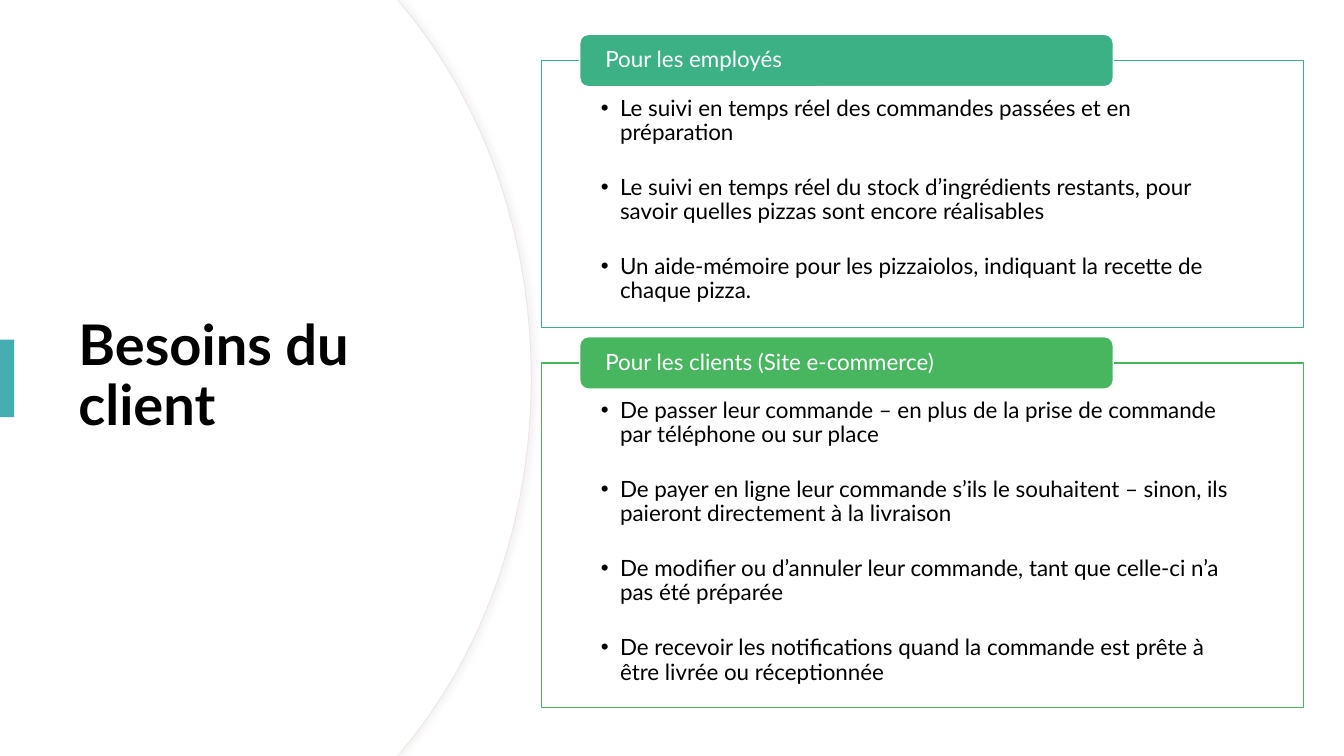
from pptx import Presentation
from pptx.dml.color import RGBColor
from pptx.enum.shapes import MSO_SHAPE as Preset
from pptx.enum.text import MSO_ANCHOR as Anchor, PP_ALIGN as Align
from pptx.oxml import parse_xml
from pptx.oxml.ns import nsdecls, qn
from pptx.util import Inches, Pt

SLIDE_W, SLIDE_H = 13.33, 7.5
CURVE_STEPS = 24

PANELS = [
    (0.6, 2.65, "3BB185", "Pour les employés", [
        "Le suivi en temps réel des commandes passées et en préparation",
        "Le suivi en temps réel du stock d’ingrédients restants, pour savoir "
        "quelles pizzas sont encore réalisables",
        "Un aide-mémoire pour les pizzaiolos, indiquant la recette de chaque pizza.",
    ]),
    (3.6, 3.42, "48B65F", "Pour les clients (Site e-commerce)", [
        "De passer leur commande – en plus de la prise de commande par téléphone "
        "ou sur place",
        "De payer en ligne leur commande s’ils le souhaitent – sinon, ils paieront "
        "directement à la livraison",
        "De modifier ou d’annuler leur commande, tant que celle-ci n’a pas été préparée",
        "De recevoir les notifications quand la commande est prête à être livrée "
        "ou réceptionnée",
    ]),
]


def color(hex_code):
    return RGBColor.from_string(hex_code)


def paint(shape, fill, line=None, width=1):
    shape.shadow.inherit = False
    shape.fill.solid()
    shape.fill.fore_color.rgb = color(fill)
    if line:
        shape.line.color.rgb = color(line)
        shape.line.width = Pt(width)
    else:
        shape.line.fill.background()


def add_box(page, preset, left, top, width, height, fill, line=None):
    box = page.shapes.add_shape(
        preset, Inches(left), Inches(top), Inches(width), Inches(height))
    paint(box, fill, line)
    return box


def set_frame(box, anchor, left=0.1, top=0.05, right=0.1, bottom=0.05):
    frame = box.text_frame
    frame.word_wrap = True
    frame.vertical_anchor = anchor
    frame.margin_left, frame.margin_top = Inches(left), Inches(top)
    frame.margin_right, frame.margin_bottom = Inches(right), Inches(bottom)
    return frame


def write(para, text, size, hex_code, bold=False):
    para.alignment = Align.LEFT
    para.line_spacing = 0.9
    span = para.add_run()
    span.text = text
    span.font.name = "Lato"
    span.font.size = Pt(size)
    span.font.bold = bold
    span.font.color.rgb = color(hex_code)


def add_bullet(para, indent=0.19):
    props = para._p.get_or_add_pPr()
    props.set("marL", str(Inches(indent)))
    props.set("indent", str(-Inches(indent)))
    props.append(parse_xml(f'<a:buFont {nsdecls("a")} typeface="Arial"/>'))
    props.append(parse_xml(f'<a:buChar {nsdecls("a")} char="•"/>'))


def add_disc(page, right, line=None):
    """White area bounded on the right by an arc, mirrored about mid-height."""
    start, end = (right - 1.26, 0.08), (right, SLIDE_H / 2)
    controls = (right - 0.48, 1.02), (right, 2.32)
    upper = [(3.94, 0)]
    for step in range(CURVE_STEPS + 1):
        t = step / CURVE_STEPS
        weights = (1 - t) ** 3, 3 * t * (1 - t) ** 2, 3 * t * t * (1 - t), t ** 3
        corners = start, *controls, end
        upper.append(tuple(sum(w * c[axis] for w, c in zip(weights, corners))
                           for axis in (0, 1)))
    lower = [(x, SLIDE_H - y) for x, y in reversed(upper[:-1])]
    outline = upper + lower + [(0, SLIDE_H)]
    builder = page.shapes.build_freeform(0, 0)
    builder.add_line_segments([(Inches(x), Inches(y)) for x, y in outline])
    disc = builder.convert_to_shape()
    paint(disc, "FFFFFF", line, 0.75)
    return disc


def add_soft_shadow(shape):
    effects = shape._element.spPr.find(qn("a:effectLst"))
    effects.append(parse_xml(
        f'<a:outerShdw {nsdecls("a")} blurRad="{Pt(4)}" dist="{Pt(3)}" dir="0">'
        '<a:srgbClr val="D9D9D9"><a:alpha val="30000"/></a:srgbClr></a:outerShdw>'))


def add_title_side(page):
    # Curved area, its edge and shadow underneath
    add_soft_shadow(add_disc(page, 5.27, "EFE6E3"))
    add_disc(page, 5.26)
    # Title
    title = page.shapes.add_textbox(
        Inches(0.68), Inches(1.27), Inches(3.94), Inches(4.95))
    frame = set_frame(title, Anchor.MIDDLE)
    write(frame.paragraphs[0], "Besoins du client", 40, "000000", bold=True)
    # Accent on the slide edge
    add_box(page, Preset.RECTANGLE, 0, 3.37, 0.14, 0.77, "46AEB3")


def add_panel(page, left, top, width, height, accent, heading, needs):
    # Framed list
    panel = add_box(page, Preset.RECTANGLE, left, top, width, height, "FFFFFF", accent)
    frame = set_frame(panel, Anchor.TOP, 0.59, 0.36, 0.59, 0.12)
    for index, need in enumerate(needs):
        para = frame.add_paragraph() if index else frame.paragraphs[0]
        write(para, need, 16, "000000")
        para.space_after = Pt(22)
        add_bullet(para)
    # Heading tab across the top edge
    tab = add_box(page, Preset.ROUNDED_RECTANGLE, left + 0.38, top - 0.26,
                  0.7 * width, 0.52, accent, "FFFFFF")
    frame = set_frame(tab, Anchor.MIDDLE, 0.23, 0, 0.23, 0)
    write(frame.paragraphs[0], heading, 16, "FFFFFF")


def main():
    deck = Presentation()
    deck.slide_width, deck.slide_height = Inches(SLIDE_W), Inches(SLIDE_H)
    page = deck.slides.add_slide(deck.slide_layouts[6])
    add_title_side(page)
    for top, height, accent, heading, needs in PANELS:
        add_panel(page, 5.37, top, 7.56, height, accent, heading, needs)
    deck.save("out.pptx")


if __name__ == "__main__":
    main()
